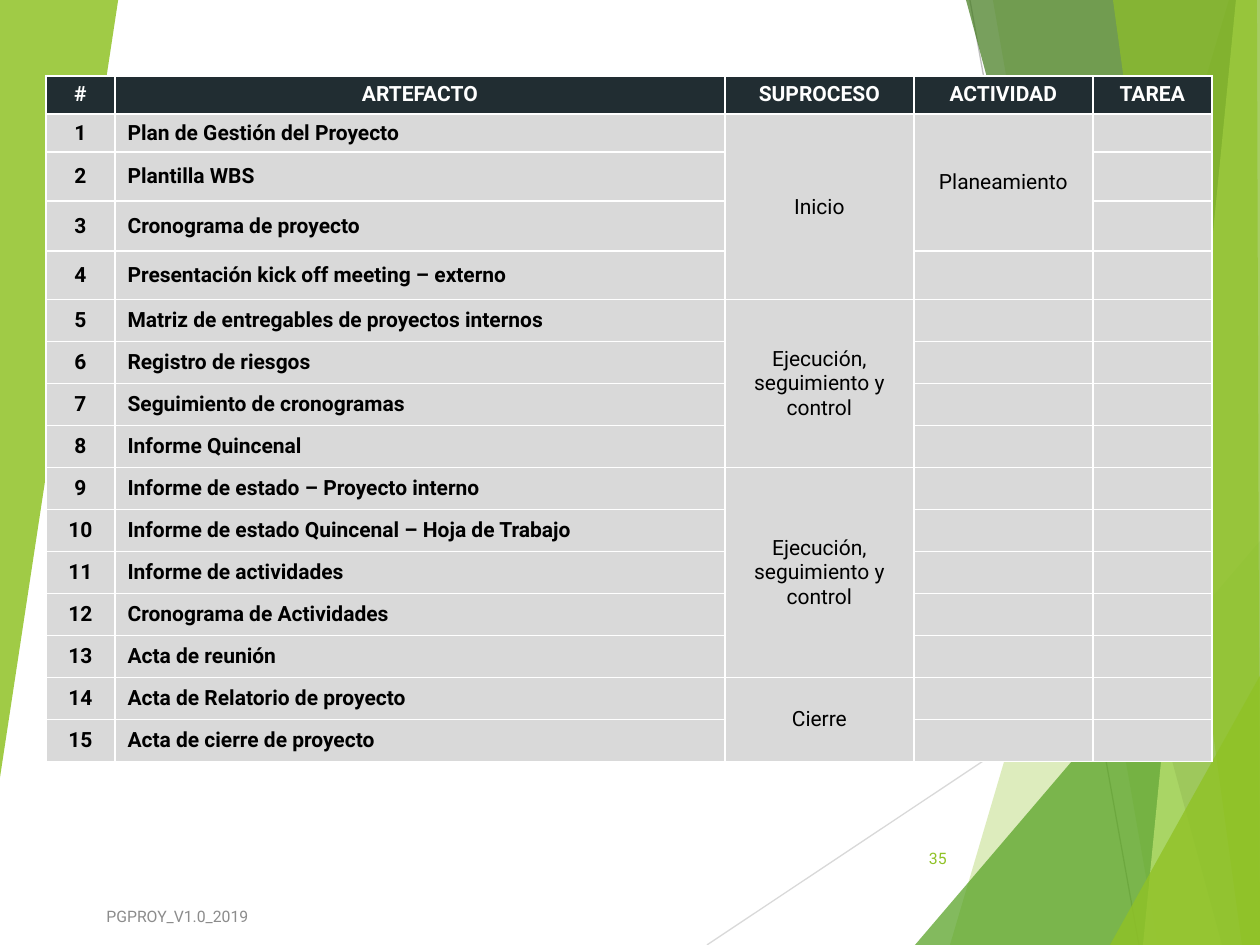
from lxml import etree
from pptx import Presentation
from pptx.dml.color import RGBColor
from pptx.enum.shapes import MSO_CONNECTOR
from pptx.enum.text import MSO_ANCHOR, PP_ALIGN
from pptx.oxml.ns import qn
from pptx.util import Pt

LEFT, CENTER, RIGHT = PP_ALIGN.LEFT, PP_ALIGN.CENTER, PP_ALIGN.RIGHT
JUSTIFY = PP_ALIGN.JUSTIFY
MIDDLE, TOP = MSO_ANCHOR.MIDDLE, MSO_ANCHOR.TOP
STRAIGHT = MSO_CONNECTOR.STRAIGHT

PIXEL = 914400 // 126
WIDTH, HEIGHT = 1260, 945
FONT = "Roboto"
COLORS = {
    "white": "FFFFFF", "black": "000000", "header": "212D32", "cell": "D9D9D9",
    "footer": "8C8C8C", "lime": "90C226", "green": "54A021", "forest": "3F7819",
    "pale": "C0E474", "light_line": "D9D9D9", "dark_line": "BFBFBF",
}

RAYS = [
    ((707, 945), (1261, 576), "light_line"),
    ((970, 0), (1139, 945), "dark_line"),
]
FACETS = [
    ("lime", 30, [(1229, 0), (950, 945), (1261, 945), (1261, 0)]),
    ("lime", 20, [(993, 0), (1158, 945), (1261, 945), (1261, 0)]),
    ("green", 72, [(915, 945), (1260, 541), (1261, 945)]),
    ("forest", 70, [(966, 0), (1222, 945), (1261, 945), (1261, 0)]),
    ("pale", 70, [(1236, 0), (1143, 945), (1261, 945), (1260, 0)]),
    ("lime", 65, [(1113, 0), (1242, 945), (1260, 945), (1257, 0)]),
    ("lime", 80, [(1110, 945), (1261, 674), (1261, 945)]),
    ("lime", 85, [(-1, 0), (118, 0), (118, 1), (-1, 784)]),
]
LABELS = [
    ("PGPROY_V1.0_2019", (94, 891, 499, 50), LEFT, "footer"),
    ("35", (888, 833, 71, 50), RIGHT, "lime"),
]

HEADERS = ["#", "ARTEFACTO", "SUPROCESO", "ACTIVIDAD", "TAREA"]
ARTIFACTS = [
    "Plan de Gestión del Proyecto",
    "Plantilla WBS",
    "Cronograma de proyecto",
    "Presentación kick off meeting – externo",
    "Matriz de entregables de proyectos internos",
    "Registro de riesgos",
    "Seguimiento de cronogramas",
    "Informe Quincenal",
    "Informe de estado – Proyecto interno",
    "Informe de estado Quincenal – Hoja de Trabajo",
    "Informe de actividades",
    "Cronograma de Actividades",
    "Acta de reunión",
    "Acta de Relatorio de proyecto",
    "Acta de cierre de proyecto",
]
MERGED = [
    (1, 4, 2, "Inicio"),
    (1, 3, 3, "Planeamiento"),
    (5, 8, 2, "Ejecución, seguimiento y control"),
    (9, 13, 2, "Ejecución, seguimiento y control"),
    (14, 15, 2, "Cierre"),
]
TABLE_LEFT, TABLE_TOP = 46, 76
COLUMN_WIDTHS = [69, 610, 189, 179, 119]
ROW_HEIGHTS = [36, 38, 49, 50, 49] + [42] * 11


def px(*values):
    return [value * PIXEL for value in values]


def rgb(name):
    return RGBColor.from_string(COLORS[name])


def format_text(frame, size, color, alignment, bold=False):
    for paragraph in frame.paragraphs:
        paragraph.alignment = alignment
        for run in paragraph.runs:
            run.font.name = FONT
            run.font.size = Pt(size)
            run.font.bold = bold
            run.font.color.rgb = rgb(color)


def add_ray(slide, start, end, color):
    ray = slide.shapes.add_connector(STRAIGHT, *px(*start, *end))
    ray.line.color.rgb = rgb(color)
    ray.line.width = Pt(0.75)
    etree.SubElement(ray._element.spPr, qn("a:effectLst"))


def add_facet(slide, color, opacity, points):
    builder = slide.shapes.build_freeform(*points[0], scale=PIXEL)
    builder.add_line_segments(points[1:], close=True)
    facet = builder.convert_to_shape()
    facet.shadow.inherit = False
    facet.line.fill.background()
    facet.fill.solid()
    facet.fill.fore_color.rgb = rgb(color)
    color_element = facet._element.spPr.find(qn("a:solidFill"))[0]
    etree.SubElement(color_element, qn("a:alpha"), val=str(opacity * 1000))


def add_label(slide, text, box, alignment, color):
    frame = slide.shapes.add_textbox(*px(*box)).text_frame
    frame.word_wrap = True
    frame.vertical_anchor = MIDDLE
    frame.text = text
    format_text(frame, 9, color, alignment)


def add_borders(cell):
    properties = cell._tc.get_or_add_tcPr()
    for index, side in enumerate(("lnL", "lnR", "lnT", "lnB")):
        border = etree.Element(qn(f"a:{side}"), w=str(Pt(1)))
        fill = etree.SubElement(border, qn("a:solidFill"))
        etree.SubElement(fill, qn("a:srgbClr"), val=COLORS["white"])
        properties.insert(index, border)


def style_cell(cell, row, column):
    header = row == 0
    cell.fill.solid()
    cell.fill.fore_color.rgb = rgb("header" if header else "cell")
    cell.vertical_anchor = TOP if header else MIDDLE
    alignment = JUSTIFY if column == 1 and not header else CENTER
    format_text(cell.text_frame, 12, "white" if header else "black",
                alignment, header or column < 2)
    if not cell.text:
        paragraph = cell.text_frame.paragraphs[0]._p
        etree.SubElement(paragraph, qn("a:endParaRPr"), sz="1200")
    add_borders(cell)


def add_artifact_table(slide):
    frame = slide.shapes.add_table(
        len(ROW_HEIGHTS), len(COLUMN_WIDTHS),
        *px(TABLE_LEFT, TABLE_TOP, sum(COLUMN_WIDTHS), sum(ROW_HEIGHTS)))
    table = frame.table
    for column, width in zip(table.columns, COLUMN_WIDTHS):
        column.width = width * PIXEL
    for row, height in zip(table.rows, ROW_HEIGHTS):
        row.height = height * PIXEL
    for column, text in enumerate(HEADERS):
        table.cell(0, column).text = text
    for number, text in enumerate(ARTIFACTS, 1):
        table.cell(number, 0).text = str(number)
        table.cell(number, 1).text = text
    for first, last, column, text in MERGED:
        table.cell(first, column).merge(table.cell(last, column))
        table.cell(first, column).text = text
    for row in range(len(ROW_HEIGHTS)):
        for column in range(len(COLUMN_WIDTHS)):
            style_cell(table.cell(row, column), row, column)


presentation = Presentation()
presentation.slide_width, presentation.slide_height = px(WIDTH, HEIGHT)
slide = presentation.slides.add_slide(presentation.slide_layouts[6])
for ray in RAYS:
    add_ray(slide, *ray)
for facet in FACETS:
    add_facet(slide, *facet)
for label in LABELS:
    add_label(slide, *label)
add_artifact_table(slide)
presentation.save("out.pptx")
